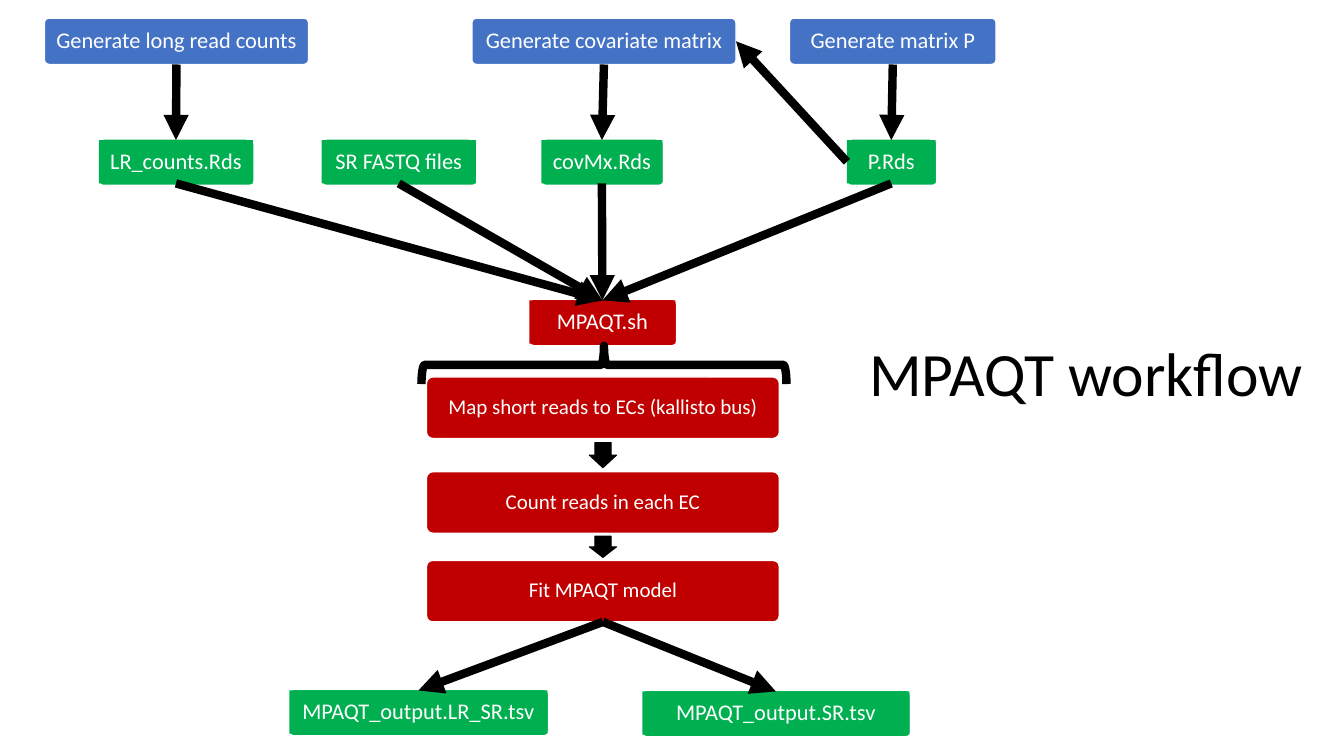
import pptx
import pptx.util
import pptx.dml.color
import pptx.enum.shapes
import pptx.enum.text
import pptx.oxml
import pptx.oxml.ns

Inches = pptx.util.Inches
Shape = pptx.enum.shapes.MSO_SHAPE
Connector = pptx.enum.shapes.MSO_CONNECTOR
Align = pptx.enum.text.PP_ALIGN
Anchor = pptx.enum.text.MSO_ANCHOR

COLOURS = {"step": "4472C4", "file": "00B050", "script": "C00000",
           "ink": "000000", "paper": "FFFFFF"}
TOP, LEFT, BOTTOM, RIGHT = range(4)
CENTRE = 5.98


def colour(name):
    return pptx.dml.color.RGBColor.from_string(COLOURS[name])


def apply(target, values):
    for name, value in values.items():
        setattr(target, name, value)


class Diagram:
    font = "Calibri"
    stroke = 6

    def __init__(self, page):
        self.page = page

    def label(self, frame, text, size, ink, align, anchor, margin=None):
        values = {"word_wrap": True, "vertical_anchor": anchor,
                  "auto_size": pptx.enum.text.MSO_AUTO_SIZE.NONE}
        if margin is not None:
            for side in ("left", "right", "top", "bottom"):
                values["margin_" + side] = Inches(margin)
        apply(frame, values)
        para = frame.paragraphs[0]
        apply(para, {"alignment": align, "line_spacing": 0.9})
        span = para.add_run()
        span.text = text
        apply(span.font, {"name": self.font, "size": pptx.util.Pt(size)})
        span.font.color.rgb = colour(ink)

    def title(self, text, left, top, width, height):
        box = self.page.shapes.title
        apply(box, {"left": Inches(left), "top": Inches(top),
                    "width": Inches(width), "height": Inches(height)})
        self.label(box.text_frame, text, 44, "ink", Align.LEFT, Anchor.TOP)

    def shape(self, kind, left, top, width, height, fill=None, line=None, weight=1.0):
        box = self.page.shapes.add_shape(
            kind, Inches(left), Inches(top), Inches(width), Inches(height))
        box.shadow.inherit = False
        if fill:
            box.fill.solid()
            box.fill.fore_color.rgb = colour(fill)
        else:
            box.fill.background()
        if line:
            box.line.color.rgb = colour(line)
            box.line.width = pptx.util.Pt(weight)
        else:
            box.line.fill.background()
        return box

    def card(self, text, left, top, width, fill, height=0.46, size=16, squared=False):
        box = self.shape(Shape.ROUNDED_RECTANGLE, left, top, width, height, fill, "paper")
        box.adjustments[0] = 0.1
        if squared:
            box = self.shape(Shape.RECTANGLE, left, top + 0.01,
                             width - 0.01, height - 0.03, fill)
        self.label(box.text_frame, text, size, "paper", Align.CENTER, Anchor.MIDDLE, 0.07)
        return box

    def arrow(self, source, target, start=BOTTOM, end=TOP):
        line = self.page.shapes.add_connector(Connector.STRAIGHT, 0, 0, 0, 0)
        line.begin_connect(source, start)
        line.end_connect(target, end)
        line.line.color.rgb = colour("ink")
        line.line.width = pptx.util.Pt(self.stroke)
        properties = line._element.spPr
        head = pptx.oxml.parse_xml(
            '<a:tailEnd %s type="triangle"/>' % pptx.oxml.ns.nsdecls("a"))
        properties.find(pptx.oxml.ns.qn("a:ln")).append(head)
        properties.append(pptx.oxml.parse_xml(
            "<a:effectLst %s/>" % pptx.oxml.ns.nsdecls("a")))

    def block_arrow(self, middle, top, length, breadth):
        box = self.shape(Shape.RIGHT_ARROW, middle - length / 2,
                         top + (length - breadth) / 2, length, breadth,
                         "ink", "ink", 0.75)
        box.rotation = 90
        box.adjustments[0] = 0.6

    def brace(self, left, top, width, height):
        box = self.shape(Shape.LEFT_BRACE, left + (width - height) / 2,
                         top + (height - width) / 2, height, width,
                         line="ink", weight=self.stroke)
        box.rotation = 90


deck = pptx.Presentation()
apply(deck, {"slide_width": Inches(13.33), "slide_height": Inches(7.5)})
diagram = Diagram(deck.slides.add_slide(deck.slide_layouts[5]))

steps = {name: diagram.card(text, left, 0.18, width, "step") for name, text, left, width in (
    ("matrix", "Generate matrix P", 7.83, 2.05),
    ("covariates", "Generate covariate matrix", 4.68, 2.62),
    ("counts", "Generate long read counts", 0.44, 2.62))}

files = {name: diagram.card(text, left, 1.38, width, "file", squared=True)
         for name, text, left, width in (
    ("counts", "LR_counts.Rds", 0.98, 1.54),
    ("reads", "SR FASTQ files", 3.19, 1.54),
    ("covariates", "covMx.Rds", 5.37, 1.21),
    ("matrix", "P.Rds", 8.4, 0.89))}

script = diagram.card("MPAQT.sh", 5.25, 2.97, 1.46, "script", squared=True)

for name, step in steps.items():
    diagram.arrow(step, files[name])
for source in files.values():
    diagram.arrow(source, script)

stages = [diagram.card(text, 4.23, top, 3.5, "script", 0.61, 15) for text, top in (
    ("Map short reads to ECs (kallisto bus)", 3.74),
    ("Count reads in each EC", 4.68),
    ("Fit MPAQT model", 5.56))]
for top, length in ((4.39, 0.25), (5.32, 0.21)):
    diagram.block_arrow(CENTRE, top, length, 0.27)

for text, left, top, width in (("MPAQT_output.SR.tsv", 6.37, 6.85, 2.66),
                               ("MPAQT_output.LR_SR.tsv", 2.87, 6.84, 2.57)):
    output = diagram.card(text, left, top, width, "file", squared=True)
    diagram.arrow(stages[-1], output)

diagram.brace(4.18, 3.43, 3.62, 0.38)
diagram.title("MPAQT workflow", 8.52, 3.36, 4.71, 1.45)
diagram.arrow(files["matrix"], steps["covariates"], LEFT, RIGHT)

deck.save("out.pptx")
